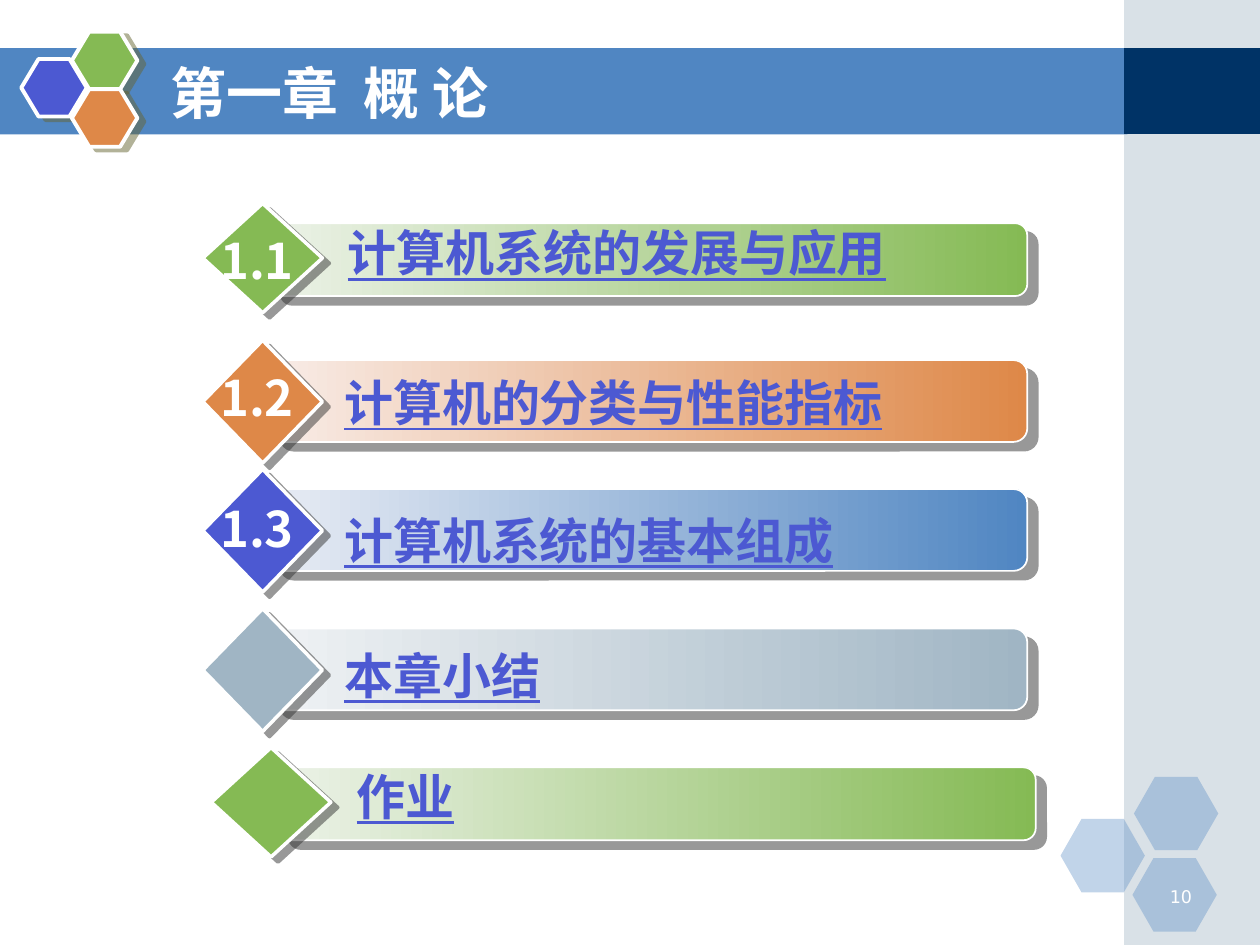
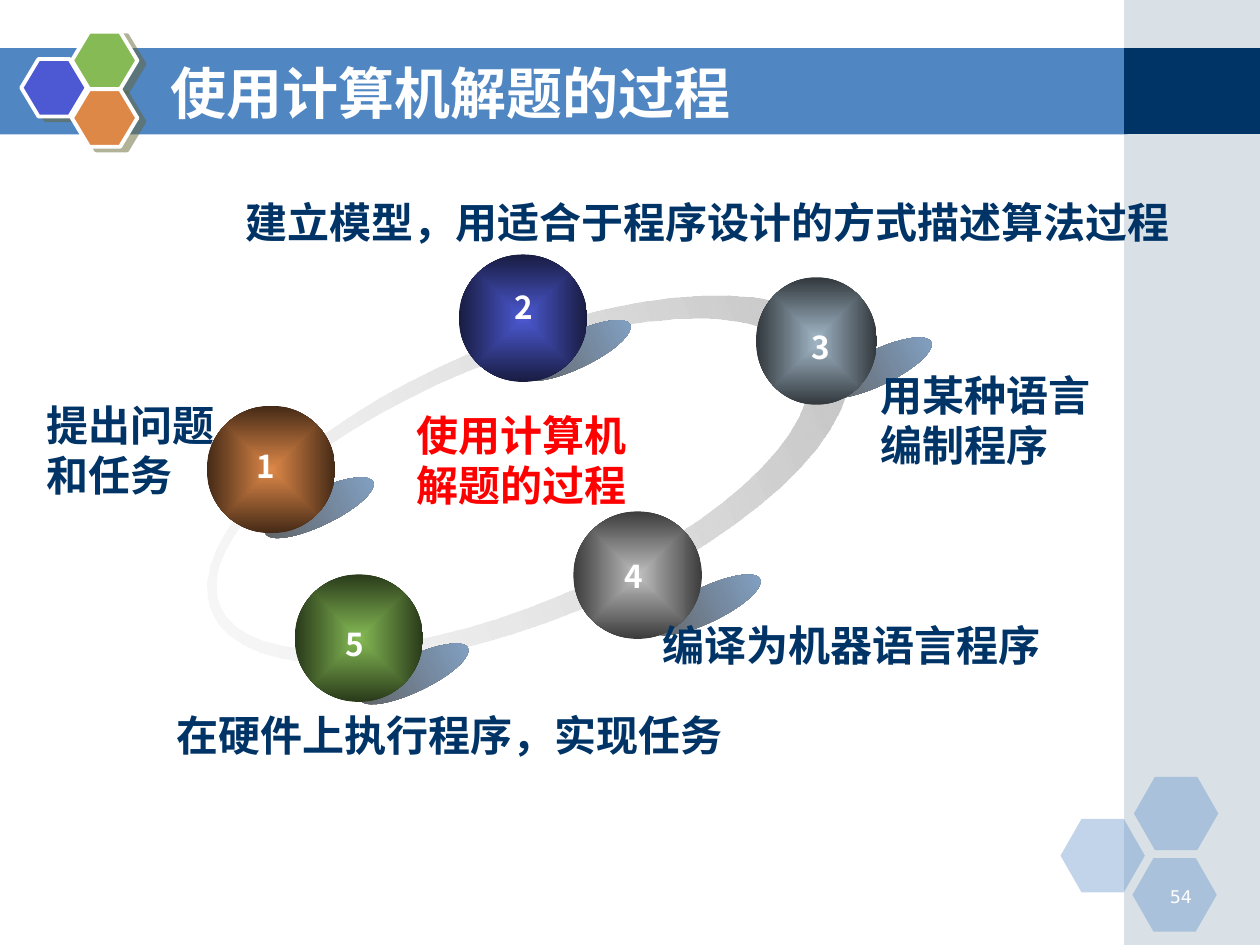
"""Build the chapter overview slide and the problem-solving cycle slide."""
import math

from pptx import Presentation
from pptx import util as u
from pptx.dml.color import RGBColor
from pptx.enum import shapes, text
from pptx.oxml import parse_xml
from pptx.oxml.ns import nsdecls

COLORS = {
    "white": "FFFFFF", "navy": "003366", "red": "FF0000",
    "blue": "5086C2", "blue_light": "E8ECF4",
    "violet": "4C59D2", "violet_dark": "181C41",
    "green": "85BA54", "green_light": "ECF2E8", "green_dark": "293A1A",
    "orange": "DE8848", "orange_light": "F8ECE7", "orange_dark": "452A16",
    "steel": "A0B5C4", "steel_light": "EFF2F4", "steel_dark": "32383D",
    "silver": "C0C0C0", "silver_light": "EEEEEE", "silver_dark": "3C3C3C",
    "shade": "5F5F5F", "shade_end": "84A5CA",
    "olive_shadow": "666633", "gray_shadow": "333333",
}
FONT = "Noto Sans CJK SC"
KIND = shapes.MSO_SHAPE
TITLE_BOX = (3.18, 1.07, 18.62, 1.57)


def write_text(shape, content, size=24, color="navy", bold=True, font=FONT,
               underline=None, align=text.PP_ALIGN.LEFT,
               anchor=text.MSO_ANCHOR.TOP, wrap=True, indent=0.25):
    frame = shape.text_frame
    frame.auto_size = text.MSO_AUTO_SIZE.NONE
    frame.word_wrap = wrap
    frame.vertical_anchor = anchor
    frame.margin_left = u.Cm(indent)
    paragraph = frame.paragraphs[0]
    paragraph.alignment = align
    run = paragraph.add_run()
    run.text = content
    run.font.size = u.Pt(size)
    run.font.bold = bold
    run.font.underline = underline
    run.font.color.rgb = RGBColor.from_string(COLORS[color])
    run.font.name = font
    east_asian = parse_xml(f'<a:ea {nsdecls("a")} typeface="{font}"/>')
    run.font._element.append(east_asian)


def paint(shape, *fill, alpha=None, line=None, shadow=None, radial=False):
    if len(fill) == 1:
        shape.fill.solid()
        shape.fill.fore_color.rgb = RGBColor.from_string(COLORS[fill[0]])
    else:
        shape.fill.gradient()
        shape.fill.gradient_angle = 0
        for stop, color in zip(shape.fill.gradient_stops, fill):
            stop.color.rgb = RGBColor.from_string(COLORS[color])
    properties = shape._element.spPr
    if radial:
        linear = properties.xpath("./a:gradFill/a:lin")[0]
        linear.getparent().replace(linear, parse_xml(
            f'<a:path {nsdecls("a")} path="shape">'
            '<a:fillToRect l="50000" t="50000" r="50000" b="50000"/></a:path>'))
    if alpha:
        properties.xpath(".//a:srgbClr")[0].append(
            parse_xml(f'<a:alpha {nsdecls("a")} val="{alpha * 1000}"/>'))
    if line:
        shape.line.color.rgb = RGBColor.from_string(COLORS["white"])
        shape.line.width = u.Pt(line)
    else:
        shape.line.fill.background()
    shape.shadow.inherit = False
    if shadow:
        color, distance, angle = shadow
        properties.xpath("./a:effectLst")[0].append(parse_xml(
            f'<a:outerShdw {nsdecls("a")} dist="{u.Pt(distance)}" '
            f'dir="{angle * 60000}" algn="ctr" rotWithShape="0">'
            f'<a:srgbClr val="{COLORS[color]}"><a:alpha val="50000"/>'
            '</a:srgbClr></a:outerShdw>'))


presentation = Presentation()
presentation.slide_width = u.Cm(25.4)
presentation.slide_height = u.Cm(19.05)
layout = presentation.slide_layouts[5]

chapter = presentation.slides.add_slide(layout)
cycle = presentation.slides.add_slide(layout)

bands = [
    ((0, 0.97, 22.73, 1.74), "blue", None),
    ((22.66, 0, 2.74, 19.05), "steel", 40),
    ((22.66, 0.97, 2.74, 1.73), "navy", None),
]
for box, color, alpha in bands:
    band = chapter.shapes.add_shape(KIND.RECTANGLE, *map(u.Cm, box))
    paint(band, color, alpha=alpha)

for left, top in [(21.38, 16.51), (22.86, 15.66), (22.83, 17.3)]:
    hexagon = chapter.shapes.add_shape(
        KIND.HEXAGON, *map(u.Cm, (left, top, 1.7, 1.48)))
    hexagon.adjustments[0] = 0.286
    paint(hexagon, "blue", alpha=35)

for left, top, color in [(0.43, 1.19, "violet"), (1.45, 0.64, "green"),
                         (1.45, 1.8, "orange")]:
    hexagon = chapter.shapes.add_shape(
        KIND.HEXAGON, *map(u.Cm, (left, top, 1.32, 1.16)))
    hexagon.adjustments[0] = 0.3
    paint(hexagon, color, line=2.25, shadow=("olive_shadow", 4.5, 27))

shared = [shape for shape in chapter.shapes if not shape.is_placeholder]
for position, shape in enumerate(shared, start=2):
    layout.shapes._spTree.insert(position, shape._element)

for slide, heading, number in [(chapter, "第一章  概 论", "10"),
                               (cycle, "使用计算机解题的过程", "54")]:
    title = slide.shapes.title
    title.left, title.top, title.width, title.height = map(u.Cm, TITLE_BOX)
    write_text(title, heading, size=32, color="white",
               anchor=text.MSO_ANCHOR.MIDDLE)
    page = slide.shapes.add_textbox(*map(u.Cm, (23.01, 17.73, 1.27, 0.64)))
    write_text(page, number, size=10, color="white", bold=False,
               font="DejaVu Sans", align=text.PP_ALIGN.RIGHT)

sections = [
    ("1.1", 4.52, "计算机系统的发展与应用", 6.32, 4.37,
     5.44, 4.5, 1.47, "green", "green"),
    ("1.2", 7.29, "计算机的分类与性能指标", 6.25, 7.39,
     5.44, 7.26, 1.65, "orange", "orange"),
    ("1.3", 9.93, "计算机系统的基本组成", 6.25, 10.16,
     5.44, 9.86, 1.65, "blue", "violet"),
    (None, None, "本章小结", 6.25, 12.88,
     5.44, 12.67, 1.65, "steel", "steel"),
    (None, None, "作业", 6.5, 15.32,
     5.61, 15.47, 1.47, "green", "green"),
]
for (number, number_top, name, name_left, name_top,
     left, top, height, bar_color, diamond_color) in sections:
    bar = chapter.shapes.add_shape(
        KIND.ROUNDED_RECTANGLE, *map(u.Cm, (left, top, 15.27, height)))
    paint(bar, f"{bar_color}_light", bar_color, line=1,
          shadow=("gray_shadow", 7.8, 40))
    diamond = chapter.shapes.add_shape(
        KIND.DIAMOND, *map(u.Cm, (left - 1.35, top - 0.4, 2.41, height * 1.5)))
    paint(diamond, diamond_color, line=2, shadow=("gray_shadow", 5, 37))
    label = chapter.shapes.add_textbox(
        *map(u.Cm, (name_left, name_top, 13.3, 1.45)))
    write_text(label, name, size=28, color="violet", underline=True,
               indent=0.69)
    if number:
        label = chapter.shapes.add_textbox(
            *map(u.Cm, (4.19, number_top, 1.98, 1.45)))
        write_text(label, number, size=28, color="white", wrap=False)

contours = []
for center_x, center_y, radius_x, radius_y, turn in [
        (10.65, 9.67, 6.92, 2.81, 1), (10.31, 9.62, 6.38, 2.44, -1)]:
    angles = [turn * math.radians(step * 6) for step in range(60)]
    contours.append([(u.Cm(center_x + radius_x * math.cos(angle)),
                      u.Cm(center_y + radius_y * math.sin(angle)))
                     for angle in angles])
outer, inner = contours
builder = cycle.shapes.build_freeform(*outer[0])
builder.add_line_segments(outer[1:], close=True)
builder.move_to(*inner[0])
builder.add_line_segments(inner[1:], close=True)
ring = builder.convert_to_shape()
ring.rotation = 337.4
paint(ring, "silver_light", "silver", alpha=36)

steps = [
    ("1", (4.17, 8.18), 2.59, (5.23, 9.88), (4.93, 8.89), "orange"),
    ("2", (9.25, 5.13), 2.59, (10.41, 6.71), (10.13, 5.69), "violet"),
    ("3", (15.24, 5.59), 2.44, (16.48, 7.06), (16.1, 6.48), "steel"),
    ("4", (11.56, 10.31), 2.59, (13.03, 11.84), (12.34, 11.1), "silver"),
    ("5", (5.94, 11.58), 2.59, (7.14, 13.23), (6.71, 12.47), "green"),
]
for number, ball_at, ball_width, shade_at, number_at, color in steps:
    shade = cycle.shapes.add_shape(
        KIND.OVAL, *map(u.Cm, (*shade_at, 2.41, 0.71)))
    shade.rotation = 334.3
    paint(shade, "shade", "shade_end")
    ball = cycle.shapes.add_shape(
        KIND.OVAL, *map(u.Cm, (*ball_at, ball_width, 2.57)))
    paint(ball, color, f"{color}_dark", radial=True)
    label = cycle.shapes.add_textbox(*map(u.Cm, (*number_at, 0.84, 1.02)))
    write_text(label, number, size=18, color="white", wrap=False)

center = cycle.shapes.add_textbox(*map(u.Cm, (7.9, 8.13, 5.23, 2.29)))
write_text(center, "使用计算机解题的过程", color="red",
           align=text.PP_ALIGN.CENTER)

captions = [
    ("提出问题和任务", (0.69, 7.92, 4.7, 2.29)),
    ("建立模型，用适合于程序设计的方式描述算法过程", (4.7, 3.84, 19.61, 1.27)),
    ("用某种语言编制程序", (17.5, 7.32, 4.8, 2.29)),
    ("编译为机器语言程序", (13.11, 12.37, 8.81, 1.27)),
    ("在硬件上执行程序，实现任务", (3.3, 14.17, 12.01, 1.27)),
]
for content, box in captions:
    write_text(cycle.shapes.add_textbox(*map(u.Cm, box)), content)

presentation.save("out.pptx")
